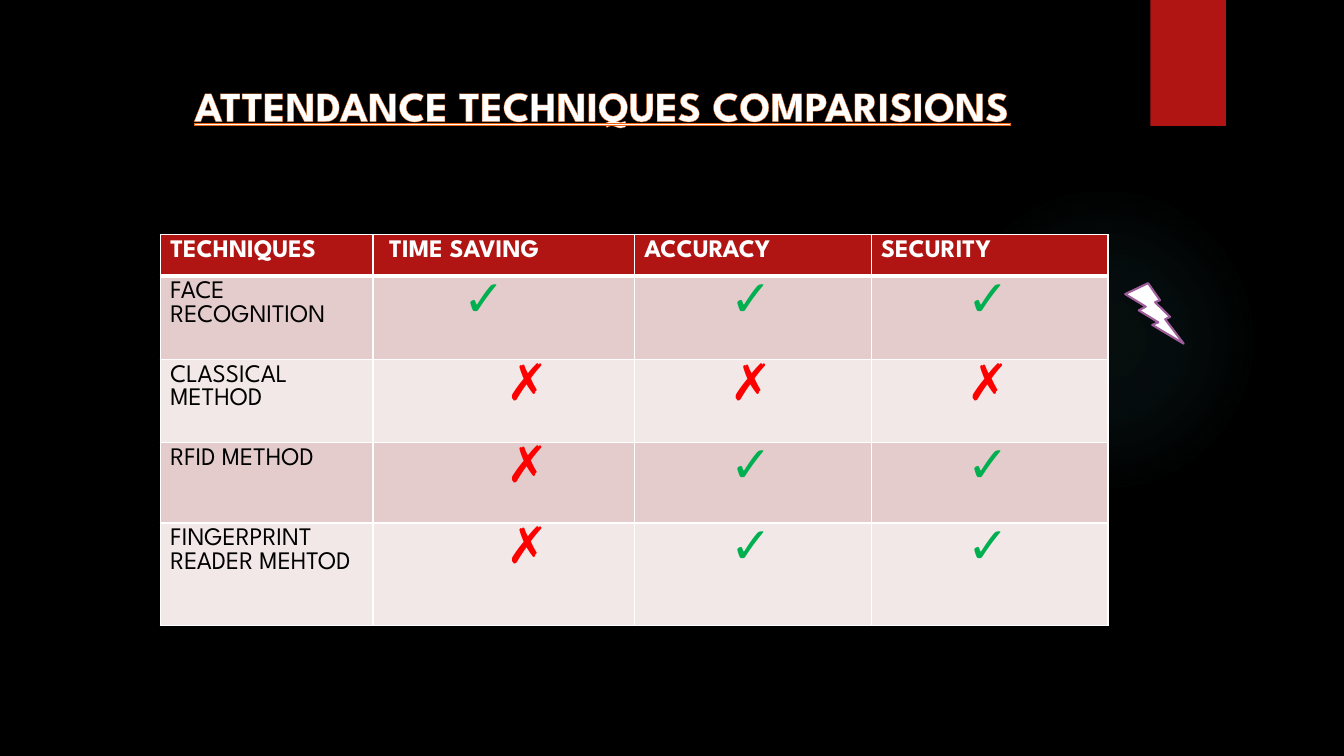
import pptx
import pptx.dml.color
import pptx.enum.shapes
import pptx.enum.text
import pptx.oxml
import pptx.oxml.ns
import pptx.util

Inches = pptx.util.Inches
Pt = pptx.util.Pt
RGBColor = pptx.dml.color.RGBColor
SHAPES = pptx.enum.shapes.MSO_SHAPE

BLACK = RGBColor(0x00, 0x00, 0x00)
WHITE = RGBColor(0xFF, 0xFF, 0xFF)
RED = RGBColor(0xB0, 0x15, 0x13)
TEAL = RGBColor(0x50, 0xB9, 0xC1)
ORANGE = RGBColor(0xEA, 0x63, 0x12)
PURPLE = RGBColor(0x9E, 0x5E, 0x9B)
GREEN = RGBColor(0x00, 0xB0, 0x50)
BRIGHT_RED = RGBColor(0xFF, 0x00, 0x00)
BAND_COLORS = [RGBColor(0xE4, 0xCC, 0xCC), RGBColor(0xF2, 0xE8, 0xE7)]
FONT = "League Spartan"
NAMESPACE = pptx.oxml.ns.nsdecls("a")


def add_text(para, text, size, color, bold=False):
    span = para.add_run()
    span.text = text
    span.font.name = FONT
    span.font.size = Pt(size)
    span.font.bold = bold
    span.font.color.rgb = color
    return span


def add_shape(kind, left, top, width, height, color):
    shape = page.shapes.add_shape(
        kind, Inches(left), Inches(top), Inches(width), Inches(height))
    shape.shadow.inherit = False
    shape.fill.solid()
    shape.fill.fore_color.rgb = color
    shape.line.fill.background()
    return shape


deck = pptx.Presentation()
deck.slide_width = Inches(13.33)
deck.slide_height = Inches(7.5)
page = deck.slides.add_slide(deck.slide_layouts[6])
page.background.fill.solid()
page.background.fill.fore_color.rgb = BLACK

glow = add_shape(SHAPES.OVAL, 9.41, 1.83, 3.08, 3.08, TEAL)
stops = "".join(
    f'<a:gs pos="{position * 1000}"><a:srgbClr val="{TEAL}">'
    f'<a:alpha val="{alpha * 1000}"/></a:srgbClr></a:gs>'
    for position, alpha in [(0, 7), (36, 6), (69, 0)])
gradient = pptx.oxml.parse_xml(
    f'<a:gradFill {NAMESPACE}><a:gsLst>{stops}</a:gsLst><a:path path="circle">'
    '<a:fillToRect l="50000" t="50000" r="50000" b="50000"/></a:path></a:gradFill>')
solid = glow.element.spPr.find(pptx.oxml.ns.qn("a:solidFill"))
glow.element.spPr.replace(solid, gradient)

ribbon = add_shape(SHAPES.RECTANGLE, 11.41, 0, 0.75, 1.25, RED)
ribbon.element.spPr.find(pptx.oxml.ns.qn("a:effectLst")).append(pptx.oxml.parse_xml(
    f'<a:outerShdw {NAMESPACE} blurRad="{Pt(3)}" dist="{Pt(2)}" dir="5400000">'
    f'<a:srgbClr val="{BLACK}"><a:alpha val="45000"/></a:srgbClr></a:outerShdw>'))

title = page.shapes.add_textbox(Inches(1.83), Inches(0.74), Inches(9.11), Inches(0.54))
title.text_frame.word_wrap = True
title_para = title.text_frame.paragraphs[0]
title_para.space_before = Pt(10)
title_span = add_text(title_para, "ATTENDANCE TECHNIQUES COMPARISIONS", 30, WHITE, True)
title_span.font.underline = True
orange_fill = f'<a:solidFill><a:srgbClr val="{ORANGE}"/></a:solidFill>'
title_format = title_span.font._element
title_format.insert(0, pptx.oxml.parse_xml(
    f'<a:ln {NAMESPACE} w="{Pt(0.52)}">{orange_fill}</a:ln>'))
title_format.find(pptx.oxml.ns.qn("a:latin")).addprevious(pptx.oxml.parse_xml(
    f'<a:uFill {NAMESPACE}>{orange_fill}</a:uFill>'))

column_widths = [2.11, 2.59, 2.35, 2.35]
row_heights = [0.41, 0.83, 0.82, 0.8, 1.02]
rows = [
    ["TECHNIQUES", "TIME SAVING", "ACCURACY", "SECURITY"],
    ["FACE RECOGNITION", "✓", "✓", "✓"],
    ["CLASSICAL METHOD", "✗", "✗", "✗"],
    ["RFID METHOD", "✗", "✓", "✓"],
    ["FINGERPRINT READER MEHTOD", "✗", "✓", "✓"],
]
mark_colors = {"✓": GREEN, "✗": BRIGHT_RED}
time_saving_indents = {"TIME SAVING": 0.16, "✓": 0.89, "✗": 1.32}
table = page.shapes.add_table(
    len(rows), len(column_widths), Inches(1.59), Inches(2.33),
    Inches(sum(column_widths)), Inches(sum(row_heights))).table
for column, width in zip(table.columns, column_widths):
    column.width = Inches(width)
for row, height in zip(table.rows, row_heights):
    row.height = Inches(height)

for row_index, texts in enumerate(rows):
    for column_index, text in enumerate(texts):
        cell = table.cell(row_index, column_index)
        header = row_index == 0
        cell.fill.solid()
        cell.fill.fore_color.rgb = RED if header else BAND_COLORS[(row_index - 1) % 2]
        if column_index == 1:
            cell.margin_left = Inches(time_saving_indents[text])
        elif text in mark_colors:
            cell.margin_left = Inches(0.95)
        para = cell.text_frame.paragraphs[0]
        if text in mark_colors:
            add_text(para, text, 36, mark_colors[text])
        else:
            add_text(para, text, 18, WHITE if header else BLACK, header)
        borders = {"lnL": 1, "lnR": 1, "lnT": 3 if row_index == 1 else 1,
                   "lnB": 3 if header else 1}
        for position, (side, weight) in enumerate(borders.items()):
            cell._tc.tcPr.insert(position, pptx.oxml.parse_xml(
                f'<a:{side} {NAMESPACE} w="{Pt(weight)}"><a:solidFill>'
                f'<a:srgbClr val="{WHITE}"/></a:solidFill></a:{side}>'))

bolt = add_shape(SHAPES.LIGHTNING_BOLT, 11.16, 2.81, 0.58, 0.6, WHITE)
bolt.line.color.rgb = PURPLE
bolt.line.width = Pt(1.5)

deck.save("out.pptx")
